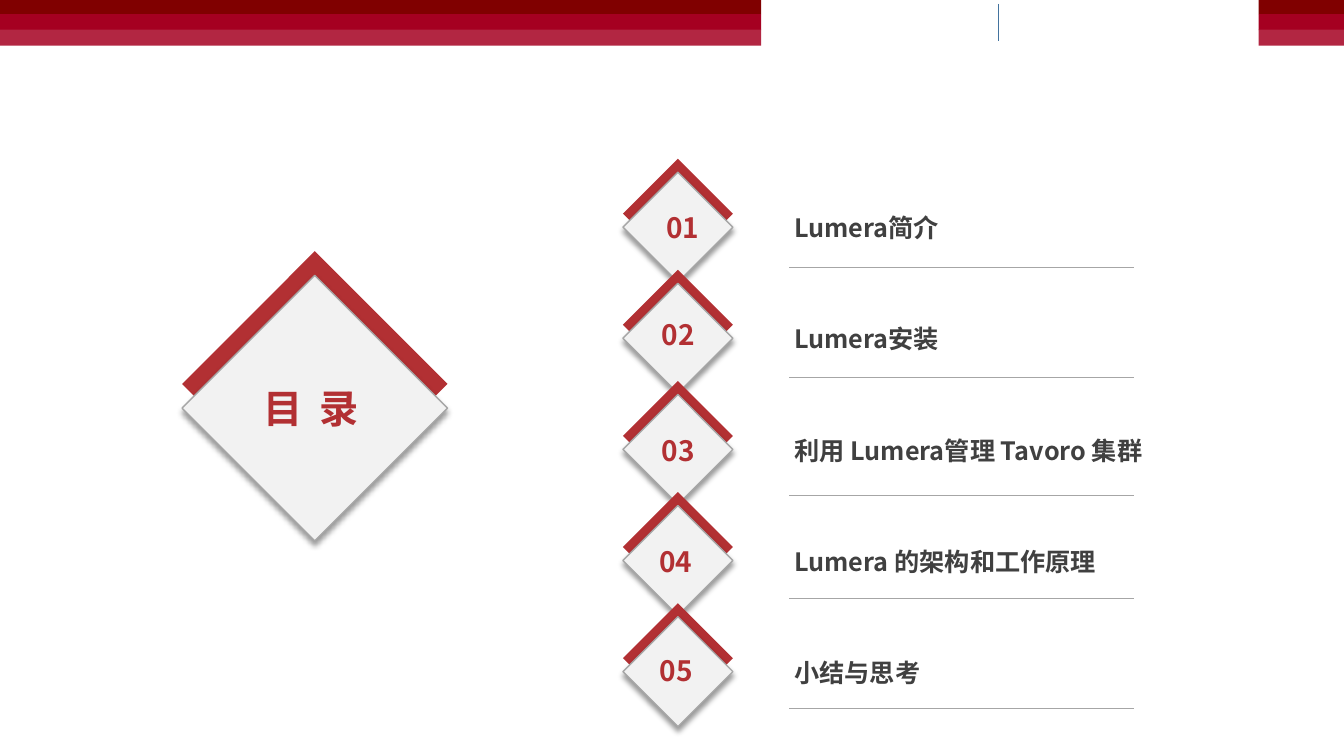
from lxml.etree import SubElement
from pptx import Presentation
from pptx.dml.color import RGBColor
from pptx.enum.shapes import MSO_CONNECTOR as LINK, MSO_SHAPE as KIND
from pptx.enum.text import MSO_AUTO_SIZE as FIT
from pptx.oxml.ns import qn
from pptx.util import Cm, Pt

FONT = "Noto Sans CJK SC"
RED, GREY, PALE, DARK = "B23033", "A6A6A6", "F2F2F2", "404040"
color = RGBColor.from_string

deck = Presentation()
deck.slide_width, deck.slide_height = Cm(33.87), Cm(19.05)
slide = deck.slides.add_slide(deck.slide_layouts[6])


def block(home, kind, x, y, w, h, fill, edge=None):
    """Add a filled shape; one with an edge also casts a soft shadow."""
    shape = home.add_shape(kind, Cm(x), Cm(y), Cm(w), Cm(h))
    shape.shadow.inherit = False
    shape.fill.solid()
    shape.fill.fore_color.rgb = color(fill)
    if edge is None:
        shape.line.fill.background()
        return
    shape.line.color.rgb = color(edge)
    shape.line.width = Pt(1)
    glow = SubElement(shape.element.spPr.find(qn("a:effectLst")), qn("a:outerShdw"),
                      blurRad=str(Pt(4)), dist=str(Pt(3)), dir="5400000",
                      algn="t", rotWithShape="0")
    black = SubElement(glow, qn("a:srgbClr"), val="000000")
    SubElement(black, qn("a:alpha"), val="40000")


def label(home, x, y, w, h, runs, size, ink, pad=(0.18, 0.1)):
    """Add a bold text box; each run is (text, letter spacing in points)."""
    box = home.add_textbox(Cm(x), Cm(y), Cm(w), Cm(h))
    frame = box.text_frame
    frame.word_wrap = True
    frame.auto_size = FIT.SHAPE_TO_FIT_TEXT
    frame.margin_left = frame.margin_right = Cm(pad[0])
    frame.margin_top = frame.margin_bottom = Cm(pad[1])
    for text, gap in runs:
        run = frame.paragraphs[0].add_run()
        run.text = text
        font = run.font
        font.size, font.bold, font.name = Pt(size), True, FONT
        font.color.rgb = color(ink)
        props = run._r.get_or_add_rPr()
        SubElement(props, qn("a:ea"), typeface=FONT)
        if gap:
            props.set("spc", str(gap * 100))


# Header bands, left and right
for x, w in ((0, 19.18), (31.72, 2.15)):
    for y, h, fill in ((0, 0.36, "800000"), (0.36, 0.4, "A50021"), (0.75, 0.4, "B22642")):
        block(slide.shapes, KIND.RECTANGLE, x, y, w, h, fill)

# Large title diamond
for y, fill, edge in ((6.33, RED, None), (6.94, PALE, GREY)):
    block(slide.shapes, KIND.FLOWCHART_DECISION, 4.59, y, 6.69, 6.69, fill, edge)
label(slide.shapes, 6.45, 9.58, 4.01, 1.45, [("目", 0), (" ", 6), ("录", 0)], 28, RED)

# Contents: topic, left and top of its number, height of its rule
topics = (
    ("Lumera简介", 16.54, 5.18, 6.73),
    ("Lumera安装", 16.43, 7.87, 9.5),
    ("利用 Lumera管理 Tavoro 集群", 16.43, 10.8, 12.47),
    ("Lumera 的架构和工作原理", 16.36, 13.59, 15.09),
    ("小结与思考", 16.38, 16.33, 17.86),
)
lines = [(25.17, 0.1, 25.17, 1.04, "43739E", 1)]
for i, (topic, x, y, base) in enumerate(topics):
    top = 4 + 2.8 * i
    badge = slide.shapes.add_group_shape().shapes
    for drop, fill, edge in ((0, RED, None), (0.34, PALE, GREY)):
        block(badge, KIND.FLOWCHART_DECISION, 15.7, top + drop, 2.77, 2.77, fill, edge)
    label(badge, x, y, 1.45, 1.17, [(f"{i + 1:02}", 0)], 20, RED, (0.25, 0.13))
    label(slide.shapes, 19.84, top + 1.26, 11.46, 0.94, [(topic, 0)], 18, DARK)
    lines.append((19.89, base, 28.58, base, GREY, 0.5))

# Header divider and topic rules
for x1, y1, x2, y2, ink, width in lines:
    rule = slide.shapes.add_connector(LINK.STRAIGHT, Cm(x1), Cm(y1), Cm(x2), Cm(y2))
    rule.line.color.rgb = color(ink)
    rule.line.width = Pt(width)
    SubElement(rule.element.spPr, qn("a:effectLst"))

deck.save("out.pptx")
